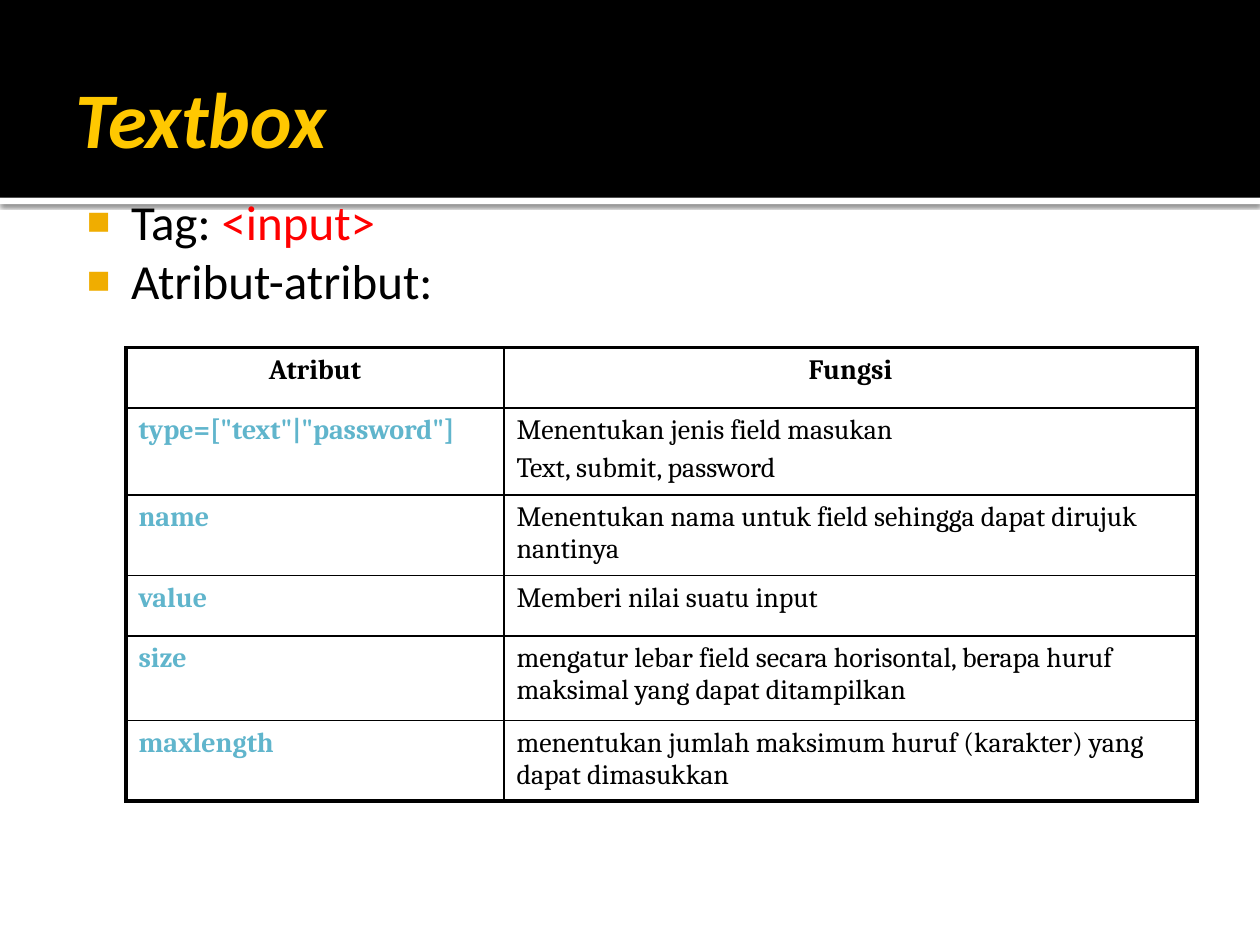
"""Builds the slide on the HTML textbox tag and its attributes."""
from dataclasses import dataclass

from lxml import etree
from pptx import Presentation
from pptx.dml.color import RGBColor
from pptx.enum.shapes import MSO_SHAPE
from pptx.enum.text import MSO_ANCHOR, MSO_AUTO_SIZE, PP_ALIGN
from pptx.oxml import parse_xml
from pptx.oxml.ns import nsdecls, qn
from pptx.util import Inches, Pt

RECTANGLE = MSO_SHAPE.RECTANGLE
TOP, MIDDLE = MSO_ANCHOR.TOP, MSO_ANCHOR.MIDDLE
LEFT, CENTER = PP_ALIGN.LEFT, PP_ALIGN.CENTER
NO_AUTOFIT = MSO_AUTO_SIZE.NONE
COLUMNS, ROWS = 100, 75


@dataclass(frozen=True)
class Theme:
    """Colours, fonts and type sizes of the slide."""
    ink: str = "000000"
    paper: str = "FFFFFF"
    title: str = "FFC800"
    bullet: str = "F0AD00"
    tag: str = "FF0000"
    attribute: str = "60B5CC"
    text_font: str = "Calibri"
    table_font: str = "Cambria"
    title_size: float = 45
    body_size: float = 28
    table_size: float = 16
    outer_line: float = 2.25
    inner_line: float = 1


def apply(target, values):
    """Set each named attribute on the target."""
    for name, value in values.items():
        setattr(target, name, value)


class SlideBuilder:
    """Holds the theme and the current slide and adds elements to it."""

    def __init__(self, deck, theme):
        self.deck, self.theme = deck, theme
        self.page = deck.slides.add_slide(deck.slide_layouts[1])

    def frame(self, column, row, width, height):
        """Turn grid units into a dict of lengths."""
        across, down = self.deck.slide_width / COLUMNS, self.deck.slide_height / ROWS
        return {"left": round(column * across), "top": round(row * down),
                "width": round(width * across), "height": round(height * down)}

    def span(self, para, text, color, font, size, **style):
        """Add a formatted run of text."""
        run = para.add_run()
        run.text = text
        apply(run.font, {"name": font, "size": Pt(size), "bold": False, **style})
        run.font.color.rgb = RGBColor.from_string(color)

    def band(self, grid, color, shadow=False):
        """Add a plain rectangle, with a soft shadow if asked."""
        box = self.page.shapes.add_shape(RECTANGLE, **self.frame(*grid))
        box.shadow.inherit = False
        box.fill.solid()
        box.fill.fore_color.rgb = RGBColor.from_string(color)
        box.line.fill.background()
        if shadow:
            effects = box.element.spPr.find(qn("a:effectLst"))
            effects.append(parse_xml(
                f'<a:outerShdw {nsdecls("a")} blurRad="{Pt(2.5)}" dist="{Pt(0.8)}" '
                f'dir="5400000" algn="tl" rotWithShape="0"><a:srgbClr val="{self.theme.ink}">'
                '<a:alpha val="60000"/></a:srgbClr></a:outerShdw>'))

    def place(self, box, grid, anchor, margins):
        """Move a placeholder to the front and to its place on the grid."""
        apply(box, self.frame(*grid))
        box.element.getparent().append(box.element)
        sides = ("margin_left", "margin_top", "margin_right", "margin_bottom")
        apply(box.text_frame, {"word_wrap": True, "auto_size": NO_AUTOFIT,
                               "vertical_anchor": anchor,
                               **dict(zip(sides, map(Inches, margins)))})
        return box.text_frame

    def title(self, text, grid):
        """Fill the title placeholder."""
        style = self.theme
        frame = self.place(self.page.shapes.title, grid, MIDDLE, (0.1, 0.05, 0.05, 0.05))
        para = frame.paragraphs[0]
        para.alignment = LEFT
        self.span(para, text, style.title, style.text_font, style.title_size,
                  bold=True, italic=True)

    def bullets(self, items, grid):
        """Fill the body placeholder with a list of coloured spans."""
        style = self.theme
        frame = self.place(self.page.placeholders[1], grid, TOP, (0.06, 0.1, 0.1, 0.05))
        for index, spans in enumerate(items):
            para = frame.add_paragraph() if index else frame.paragraphs[0]
            apply(para, {"alignment": LEFT, "space_before": Pt(0)})
            self.bullet(para)
            for text, color in spans:
                self.span(para, text, color, style.text_font, style.body_size)

    def bullet(self, para):
        """Give a paragraph a square bullet and a hanging indent."""
        properties = para._p.get_or_add_pPr()
        properties.set("marL", str(Inches(0.48)))
        properties.set("indent", str(Inches(-0.35)))
        color = etree.SubElement(properties, qn("a:buClr"))
        etree.SubElement(color, qn("a:srgbClr"), val=self.theme.bullet)
        etree.SubElement(properties, qn("a:buSzPct"), val="80000")
        etree.SubElement(properties, qn("a:buChar"), char="■")

    def table(self, records, grid, widths, heights):
        """Add a ruled table with a centred header and a coloured first column."""
        style = self.theme
        table = self.page.shapes.add_table(
            len(records), len(widths), **self.frame(*grid)).table
        apply(table, {"first_row": False, "horz_banding": False})
        for column, width in zip(table.columns, widths):
            column.width = self.frame(0, 0, width, 0)["width"]
        for row, height in zip(table.rows, heights):
            row.height = self.frame(0, 0, 0, height)["height"]
        for r, record in enumerate(records):
            for c, text in enumerate(record):
                cell = table.cell(r, c)
                cell.fill.background()
                cell.text_frame.word_wrap = True
                self.borders(cell, {"L": c == 0, "R": c == len(widths) - 1,
                                    "T": r == 0, "B": r == len(records) - 1})
                color = style.attribute if r and not c else style.ink
                for index, line in enumerate(text.split("\n")):
                    frame = cell.text_frame
                    para = frame.add_paragraph() if index else frame.paragraphs[0]
                    apply(para, {"alignment": LEFT if r else CENTER,
                                 "space_before": Pt(0.2 * style.table_size)})
                    self.span(para, line, color, style.table_font, style.table_size,
                              bold=r == 0 or c == 0)

    def borders(self, cell, outer_sides):
        """Rule the four sides of a cell, heavier on the table's edge."""
        style = self.theme
        properties = cell._tc.get_or_add_tcPr()
        for index, (side, outer) in enumerate(outer_sides.items()):
            width = Pt(style.outer_line if outer else style.inner_line)
            properties.insert(index, parse_xml(
                f'<a:ln{side} {nsdecls("a")} w="{width}"><a:solidFill>'
                f'<a:srgbClr val="{style.ink}"/></a:solidFill></a:ln{side}>'))


def main():
    """Build and save the slide."""
    deck = Presentation()
    apply(deck, {"slide_width": Inches(10), "slide_height": Inches(7.5)})
    theme = Theme()
    slide = SlideBuilder(deck, theme)
    slide.band((0, 15.7, COLUMNS, 0.5), theme.paper, shadow=True)
    slide.band((0, 0, COLUMNS, 15.7), theme.ink)
    slide.title("Textbox", (5, 3, 90, 12.5))
    slide.bullets([[("Tag: ", theme.ink), ("<input>", theme.tag)],
                   [("Atribut-atribut:", theme.ink)]], (5, 14.2, 88.3, 12.5))
    slide.table([
        ("Atribut", "Fungsi"),
        ('type=["text"|"password"]', "Menentukan jenis field masukan\nText, submit, password"),
        ("name", "Menentukan nama untuk field sehingga dapat dirujuk nantinya"),
        ("value", "Memberi nilai suatu input"),
        ("size", "mengatur lebar field secara horisontal, "
                 "berapa huruf maksimal yang dapat ditampilkan"),
        ("maxlength", "menentukan jumlah maksimum huruf (karakter) yang dapat dimasukkan"),
    ], (10, 27.6, 85, 36), (30, 55), (4.8, 6.9, 6.4, 4.8, 6.7, 6.4))
    deck.save("out.pptx")


if __name__ == "__main__":
    main()
